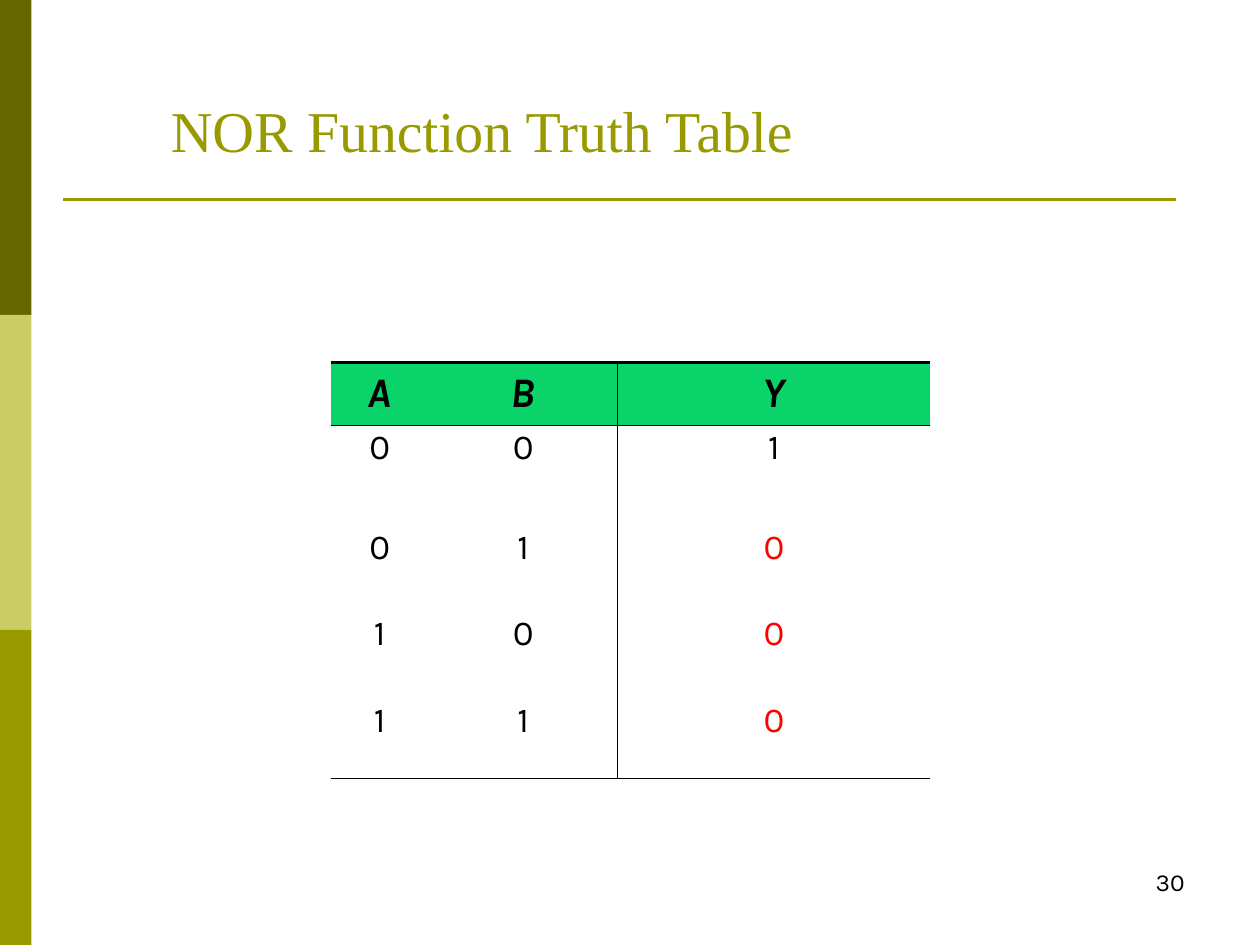
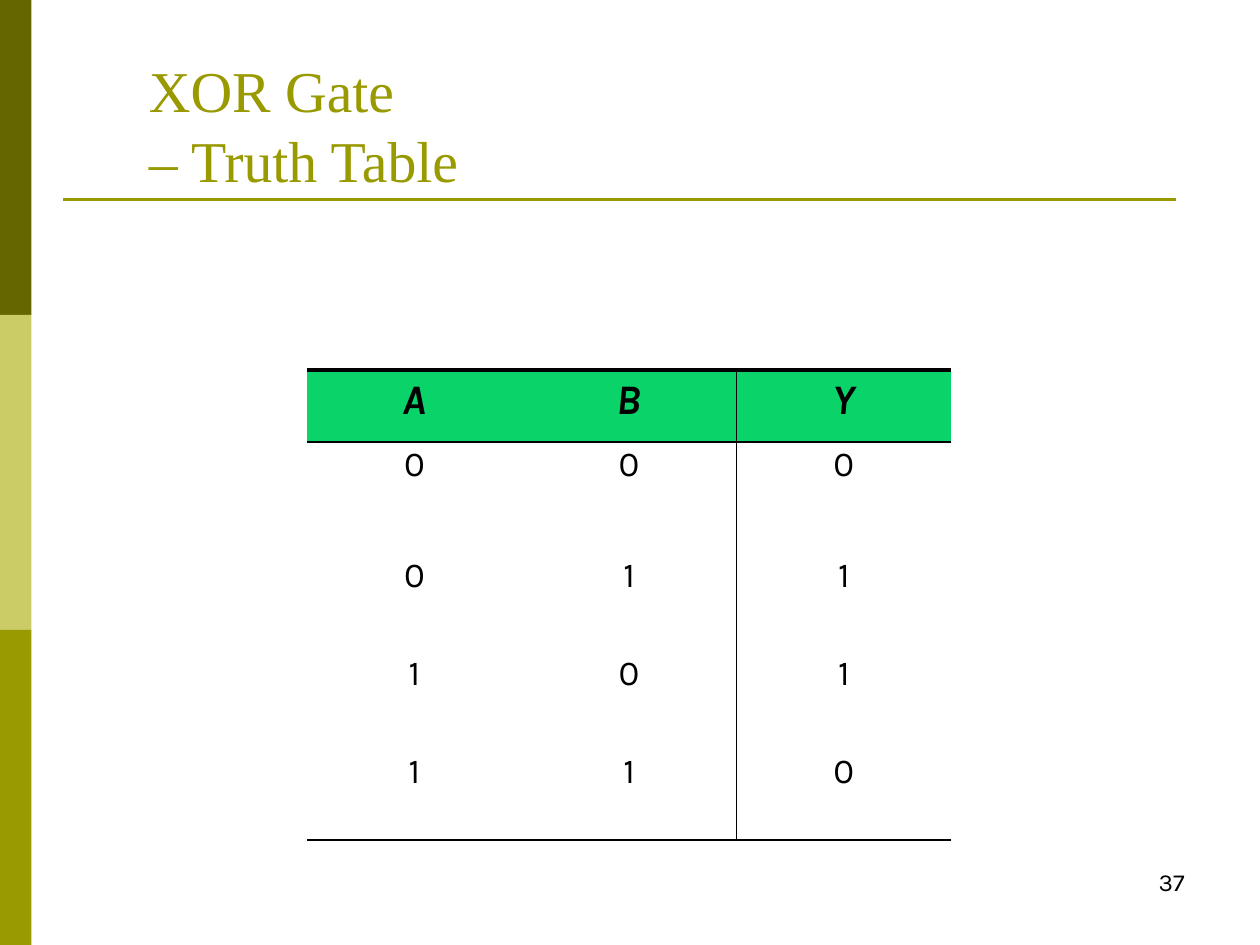
from lxml.etree import SubElement
from pptx import Presentation
from pptx.dml.color import RGBColor
from pptx.enum.shapes import MSO_CONNECTOR, MSO_SHAPE
from pptx.enum.text import MSO_ANCHOR, PP_ALIGN
from pptx.oxml.ns import qn
from pptx.util import Pt

# Shared look
DARK_OLIVE = RGBColor(0x66, 0x66, 0x00)
PALE_OLIVE = RGBColor(0xCC, 0xCC, 0x66)
OLIVE = RGBColor(0x99, 0x99, 0x00)
GREEN = RGBColor(0x09, 0xD3, 0x69)
BLACK = RGBColor(0, 0, 0)
RED = RGBColor(0xFF, 0, 0)
TITLE_FONT = "Times New Roman"
BODY_FONT = "Karla"
BAND_HEIGHT = 180
THIN, THICK = 1, 2.25


def add_run(paragraph, text, size, color, font=BODY_FONT, emphasis=False):
    run = paragraph.add_run()
    run.text = text
    run.font.name = font
    run.font.size = Pt(size)
    run.font.color.rgb = color
    run.font.bold = run.font.italic = emphasis


def add_frame(slide):
    """Side bands and the rule under the title."""
    for i, color in enumerate((DARK_OLIVE, PALE_OLIVE, OLIVE)):
        band = slide.shapes.add_shape(MSO_SHAPE.RECTANGLE, 0, Pt(i * BAND_HEIGHT),
                                      Pt(18), Pt(BAND_HEIGHT))
        band.shadow.inherit = False
        band.fill.solid()
        band.fill.fore_color.rgb = color
        band.line.fill.background()
    rule = slide.shapes.add_connector(MSO_CONNECTOR.STRAIGHT,
                                      Pt(36), Pt(114), Pt(672), Pt(114))
    rule.line.color.rgb = OLIVE
    rule.line.width = Pt(1.5)
    SubElement(rule._element.spPr, qn("a:effectLst"))


def add_text_box(slide, box, anchor):
    frame = slide.shapes.add_textbox(*map(Pt, box)).text_frame
    frame.word_wrap = True
    frame.vertical_anchor = anchor
    return frame.paragraphs[0]


def add_title(slide, lines, box):
    paragraph = add_text_box(slide, box, MSO_ANCHOR.MIDDLE)
    for i, line in enumerate(lines):
        if i:
            paragraph.add_line_break()
        add_run(paragraph, line, 33, OLIVE, TITLE_FONT)


def add_page_number(slide, number):
    paragraph = add_text_box(slide, (516, 492, 168, 36), MSO_ANCHOR.TOP)
    paragraph.alignment = PP_ALIGN.RIGHT
    add_run(paragraph, str(number), 14, BLACK)


def set_borders(cell, widths):
    """Draw the given sides; a width of 0 leaves a side bare."""
    properties = cell._tc.get_or_add_tcPr()
    for side in "LRTB":
        width = widths.get(side, 0)
        border = SubElement(properties, qn(f"a:ln{side}"), w=str(int(Pt(width))))
        if width:
            fill = SubElement(border, qn("a:solidFill"))
            SubElement(fill, qn("a:srgbClr"), val=str(BLACK))
        else:
            SubElement(border, qn("a:noFill"))


def add_truth_table(slide, left, top, widths, heights, outputs, zero_color):
    inputs = [(a, b) for a in "01" for b in "01"]
    rows = [("A", "B", "Y")] + [(*pair, y) for pair, y in zip(inputs, outputs)]
    table = slide.shapes.add_table(len(rows), 3, Pt(left), Pt(top),
                                   Pt(sum(widths)), Pt(sum(heights))).table
    table.first_row = table.horz_banding = False
    for column, width in zip(table.columns, widths):
        column.width = Pt(width)
    for row, height in zip(table.rows, heights):
        row.height = Pt(height)

    for r, values in enumerate(rows):
        for c, value in enumerate(values):
            cell = table.cell(r, c)
            header, output = r == 0, c == 2
            set_borders(cell, {
                "L": THIN if output else 0,
                "R": THIN if c == 1 else 0,
                "T": THICK if header else THIN if r == 1 else 0,
                "B": THIN if header or r == len(rows) - 1 else 0,
            })
            paragraph = cell.text_frame.paragraphs[0]
            paragraph.alignment = PP_ALIGN.CENTER
            if header:
                cell.fill.solid()
                cell.fill.fore_color.rgb = GREEN
                add_run(paragraph, value, 24, BLACK, emphasis=True)
            else:
                cell.fill.background()
                paragraph.line_spacing = 0.85
                color = zero_color if output and value == "0" else BLACK
                add_run(paragraph, value, 20, color)


def main():
    deck = Presentation()
    deck.slide_width, deck.slide_height = Pt(720), Pt(540)
    blank = deck.slide_layouts[6]

    # NOR
    nor = deck.slides.add_slide(blank)
    add_frame(nor)
    add_title(nor, ["NOR Function Truth Table"], (90.5, 16.5, 613.5, 115))
    add_truth_table(nor, 189, 207, (56, 108, 178.5), (36, 57, 49.5, 49.5, 46),
                    "1000", RED)
    add_page_number(nor, 30)

    # XOR
    xor = deck.slides.add_slide(blank)
    add_frame(xor)
    add_title(xor, ["XOR Gate", "– Truth Table"], (78, 26, 612, 90))
    add_truth_table(xor, 175.5, 211.5, (122.7,) * 3, (41, 63.5, 56, 56, 52),
                    "0110", BLACK)
    add_page_number(xor, 37)

    deck.save("out.pptx")


if __name__ == "__main__":
    main()
